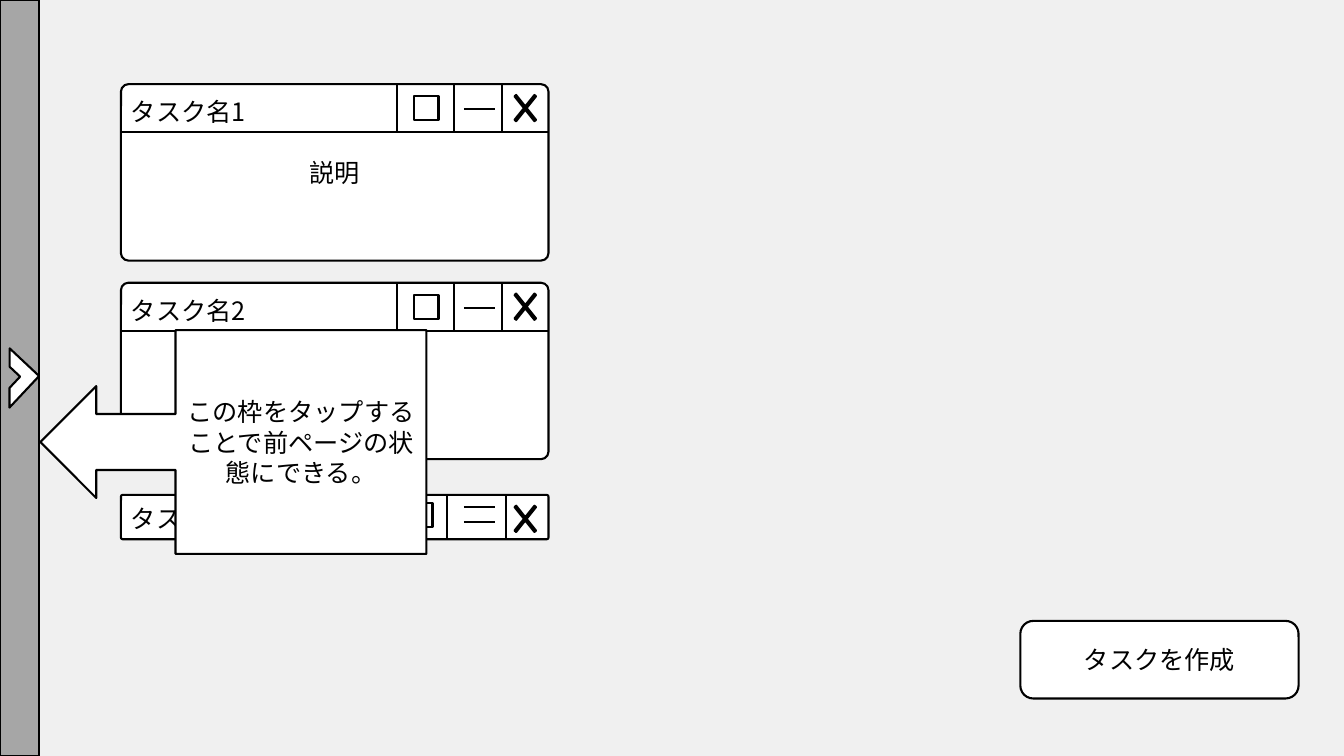
from lxml import etree
from pptx import Presentation
from pptx.dml.color import RGBColor
from pptx.enum.shapes import MSO_CONNECTOR, MSO_SHAPE
from pptx.enum.text import MSO_ANCHOR, PP_ALIGN
from pptx.oxml.ns import qn
from pptx.util import Inches, Pt

RECTANGLE = MSO_SHAPE.RECTANGLE
ROUNDED = MSO_SHAPE.ROUNDED_RECTANGLE
CROSS = MSO_SHAPE.MATH_MULTIPLY
CHEVRON = MSO_SHAPE.HALF_FRAME
CALLOUT = MSO_SHAPE.LEFT_ARROW_CALLOUT
STRAIGHT = MSO_CONNECTOR.STRAIGHT
CENTER = PP_ALIGN.CENTER
LEFT = PP_ALIGN.LEFT
MIDDLE = MSO_ANCHOR.MIDDLE

BLACK = RGBColor(0x00, 0x00, 0x00)
WHITE = RGBColor(0xFF, 0xFF, 0xFF)
GRAY = RGBColor(0xA6, 0xA6, 0xA6)
PALE = RGBColor(0xF0, 0xF0, 0xF0)

CELL = Inches(0.1)
WINDOW_LEFT, WINDOW_WIDTH = 12, 42.4
BAR_HEIGHT = 4.75


class Wireframe:
    """Draws outlined elements on one slide, measured in cells of a square grid."""

    font_name = "Noto Sans CJK JP"
    font_size = Pt(18)
    stroke = Pt(1.5)

    def __init__(self, slide):
        self.slide = slide
        fill = slide.background.fill
        fill.solid()
        fill.fore_color.rgb = PALE

    def cells(self, *counts):
        return [round(count * CELL) for count in counts]

    def set_words(self, frame, words, align):
        frame.word_wrap = True
        frame.text = words
        paragraph = frame.paragraphs[0]
        paragraph.alignment = align
        font = paragraph.runs[0].font
        font.name = self.font_name
        font.size = self.font_size
        font.color.rgb = BLACK
        east_asian = etree.SubElement(font._element, qn("a:ea"))
        east_asian.set("typeface", self.font_name)

    def box(self, kind, left, top, width, height, fill=WHITE, words="", corner=None):
        shape = self.slide.shapes.add_shape(kind, *self.cells(left, top, width, height))
        shape.shadow.inherit = False
        shape.fill.solid()
        shape.fill.fore_color.rgb = fill
        shape.line.color.rgb = BLACK
        shape.line.width = self.stroke
        if corner is not None:
            shape.adjustments[0] = corner
        if words:
            shape.text_frame.vertical_anchor = MIDDLE
            self.set_words(shape.text_frame, words, CENTER)
        return shape

    def line(self, left, top, right, bottom):
        connector = self.slide.shapes.add_connector(
            STRAIGHT, *self.cells(left, top, right, bottom))
        connector.line.color.rgb = BLACK
        connector.line.width = self.stroke
        etree.SubElement(connector._element.spPr, qn("a:effectLst"))

    def label(self, left, top, width, height, words):
        textbox = self.slide.shapes.add_textbox(*self.cells(left, top, width, height))
        self.set_words(textbox.text_frame, words, LEFT)

    def title_bar(self, top, height, name, name_drop, dividers, square, dashes):
        self.label(WINDOW_LEFT, top + name_drop, 13.5, 4, name)
        for divider in dividers:
            self.line(divider, top, divider, top + height)
        square_left, square_drop = square
        self.box(RECTANGLE, square_left, top + square_drop, 2.4, 2.4)
        for dash_drop in dashes:
            self.line(46, top + dash_drop, 49.1, top + dash_drop)
        self.box(CROSS, 50.2, top, 3.8, 4.75, BLACK, corner=0.054)

    def open_window(self, top, name, description=""):
        self.box(ROUNDED, WINDOW_LEFT, top, WINDOW_WIDTH, 17.5,
                 words=description, corner=0.042)
        bar_bottom = top + BAR_HEIGHT
        self.line(WINDOW_LEFT, bar_bottom, WINDOW_LEFT + WINDOW_WIDTH, bar_bottom)
        self.title_bar(top, BAR_HEIGHT, name, 0.75, (39.4, 45, 49.8), (41.1, 1.2), (2.5,))

    def minimized_window(self, top, name):
        height = 4.4
        self.box(ROUNDED, WINDOW_LEFT, top, WINDOW_WIDTH, height, corner=0.042)
        self.title_bar(top, height, name, 0.3, (39.1, 44.3, 50.2), (40.5, 0.8), (1.2, 2.7))


def main():
    presentation = Presentation()
    presentation.slide_width = Inches(13.33)
    presentation.slide_height = Inches(7.5)
    wireframe = Wireframe(presentation.slides.add_slide(presentation.slide_layouts[6]))

    wireframe.open_window(8.35, "タスク名1", "説明")
    wireframe.open_window(28.05, "タスク名2")
    wireframe.minimized_window(49.1, "タスク名3")

    wireframe.box(RECTANGLE, 0, 0, 3.85, 75, GRAY)
    open_sidebar = wireframe.box(CHEVRON, -1.2, 35.5, 4.3, 4)
    open_sidebar.rotation = 133.2

    wireframe.box(CALLOUT, 4, 32.75, 38.3, 22.2,
                  words="この枠をタップすることで前ページの状態にできる。")
    wireframe.box(ROUNDED, 101.2, 61.6, 27.6, 7.7, words="タスクを作成")

    presentation.save("out.pptx")


if __name__ == "__main__":
    main()
